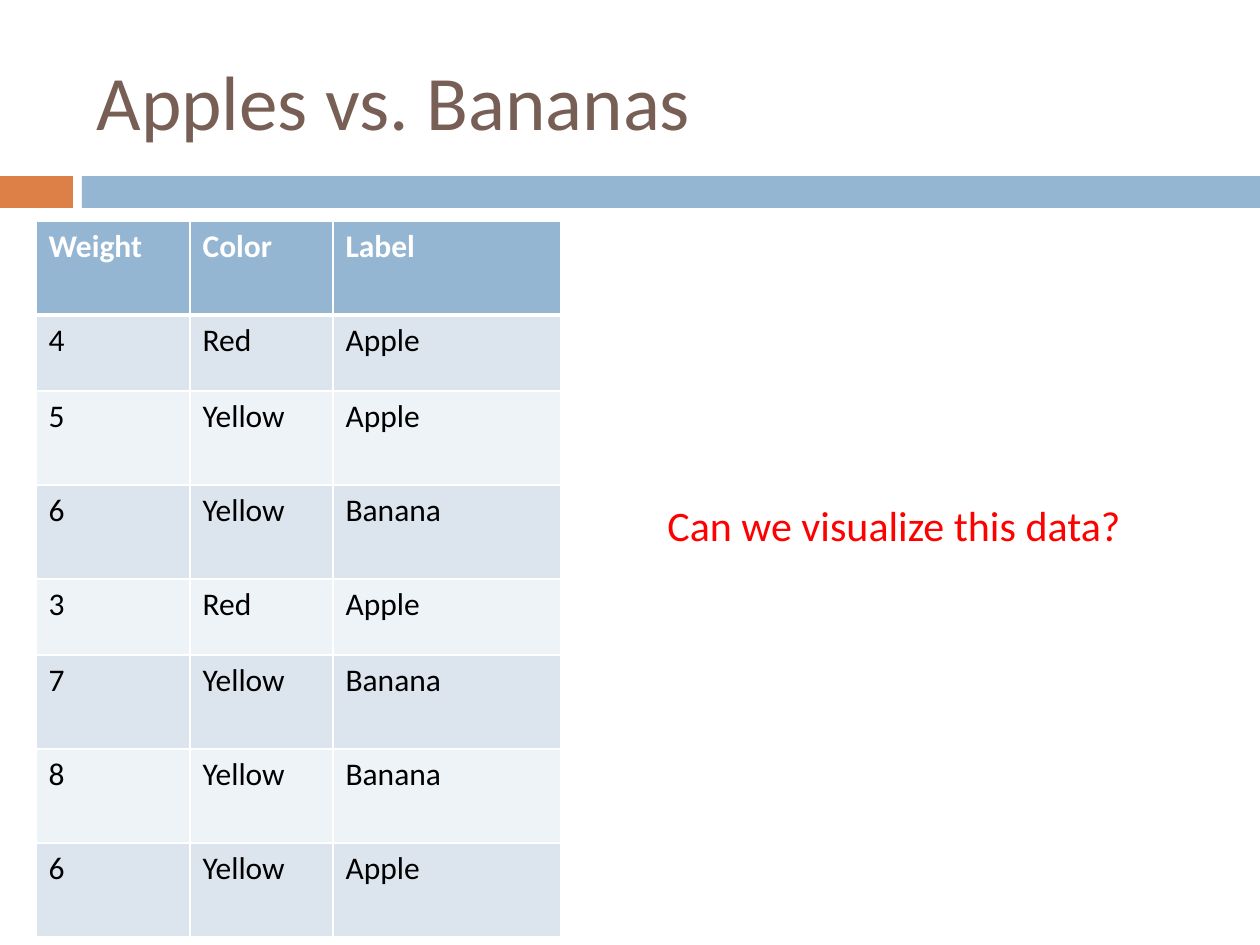
from lxml.etree import SubElement as Sub
from pptx import Presentation
from pptx.dml.color import RGBColor as Rgb
from pptx.enum.shapes import MSO_SHAPE as Shape
from pptx.enum.text import MSO_ANCHOR as Anchor, MSO_AUTO_SIZE as Fit, PP_ALIGN as Align
from pptx.oxml.ns import qn
from pptx.util import Emu, Pt

SCALE = 914400 / 126
HUES = {
    "title": "775F55", "accent": "DD8047", "band": "94B6D2",
    "odd": "DCE5EE", "even": "EEF3F7",
    "white": "FFFFFF", "black": "000000", "ask": "FF0000",
}
ROWS = [
    ("Weight", "Color", "Label"),
    ("4", "Red", "Apple"),
    ("5", "Yellow", "Apple"),
    ("6", "Yellow", "Banana"),
    ("3", "Red", "Apple"),
    ("7", "Yellow", "Banana"),
    ("8", "Yellow", "Banana"),
    ("6", "Yellow", "Apple"),
]
WIDTHS = (154, 143, 228)
TALL, SHORT = 94, 76


def px(num):
    """Turn pixels into EMU."""
    return Emu(round(num * SCALE))


def apply(item, **vals):
    """Set each given value on the item."""
    for key, val in vals.items():
        setattr(item, key, val)


def paint(fill, hue):
    """Fill with one named colour."""
    fill.solid()
    fill.fore_color.rgb = Rgb.from_string(HUES[hue])


def write(frame, text, size, hue, bold=False):
    """Put one left-aligned line of text in a frame."""
    para = frame.paragraphs[0]
    para.alignment = Align.LEFT
    run = para.add_run()
    run.text = text
    apply(run.font, name="Calibri", size=Pt(size), bold=bold)
    run.font.color.rgb = Rgb.from_string(HUES[hue])


def add_title(slide, text, box):
    """Place and format the title."""
    title = slide.shapes.title
    apply(title, **dict(zip(("left", "top", "width", "height"), map(px, box))))
    apply(title.text_frame, vertical_anchor=Anchor.MIDDLE, word_wrap=True)
    write(title.text_frame, text, 44, "title")


def add_bar(slide, hue, box):
    """Draw a plain bar."""
    bar = slide.shapes.add_shape(Shape.RECTANGLE, *map(px, box))
    bar.shadow.inherit = False
    bar.line.fill.background()
    paint(bar.fill, hue)


def add_note(slide, text, box):
    """Add a text box that grows with its line."""
    frame = slide.shapes.add_textbox(*map(px, box)).text_frame
    apply(frame, word_wrap=False, auto_size=Fit.SHAPE_TO_FIT_TEXT)
    write(frame, text, 24, "ask")


def edge(cell, **sides):
    """Draw white cell borders, widths in points."""
    props = cell._tc.get_or_add_tcPr()
    for side, wide in sides.items():
        line = Sub(props, qn(f"a:ln{side}"), w=str(Pt(wide)))
        Sub(Sub(line, qn("a:solidFill")), qn("a:srgbClr"), val=HUES["white"])


def add_grid(slide, left, top):
    """Build the data table with banded rows."""
    highs = [SHORT if row[1] == "Red" else TALL for row in ROWS]
    box = left, top, sum(WIDTHS), sum(highs)
    grid = slide.shapes.add_table(len(ROWS), len(WIDTHS), *map(px, box)).table
    for col, wide in zip(grid.columns, WIDTHS):
        col.width = px(wide)
    for i, (row, high) in enumerate(zip(ROWS, highs)):
        grid.rows[i].height = px(high)
        back = "odd" if i % 2 else "even"
        for j, text in enumerate(row):
            cell = grid.cell(i, j)
            edge(cell, L=1, R=1, T=3 if i == 1 else 1, B=1 if i else 3)
            paint(cell.fill, back if i else "band")
            write(cell.text_frame, text, 18, "black" if i else "white", not i)


def main():
    """Build and save the slide."""
    deck = Presentation()
    apply(deck, slide_width=px(1260), slide_height=px(945))
    slide = deck.slides.add_slide(deck.slide_layouts[5])
    add_bar(slide, "accent", (0, 176, 73, 32))
    add_bar(slide, "band", (82, 176, 1178, 32))
    add_title(slide, "Apples vs. Bananas", (84, 32, 1124, 136))
    add_grid(slide, 36, 221)
    add_note(slide, "Can we visualize this data?", (655, 493, 483, 63))
    deck.save("out.pptx")


if __name__ == "__main__":
    main()
